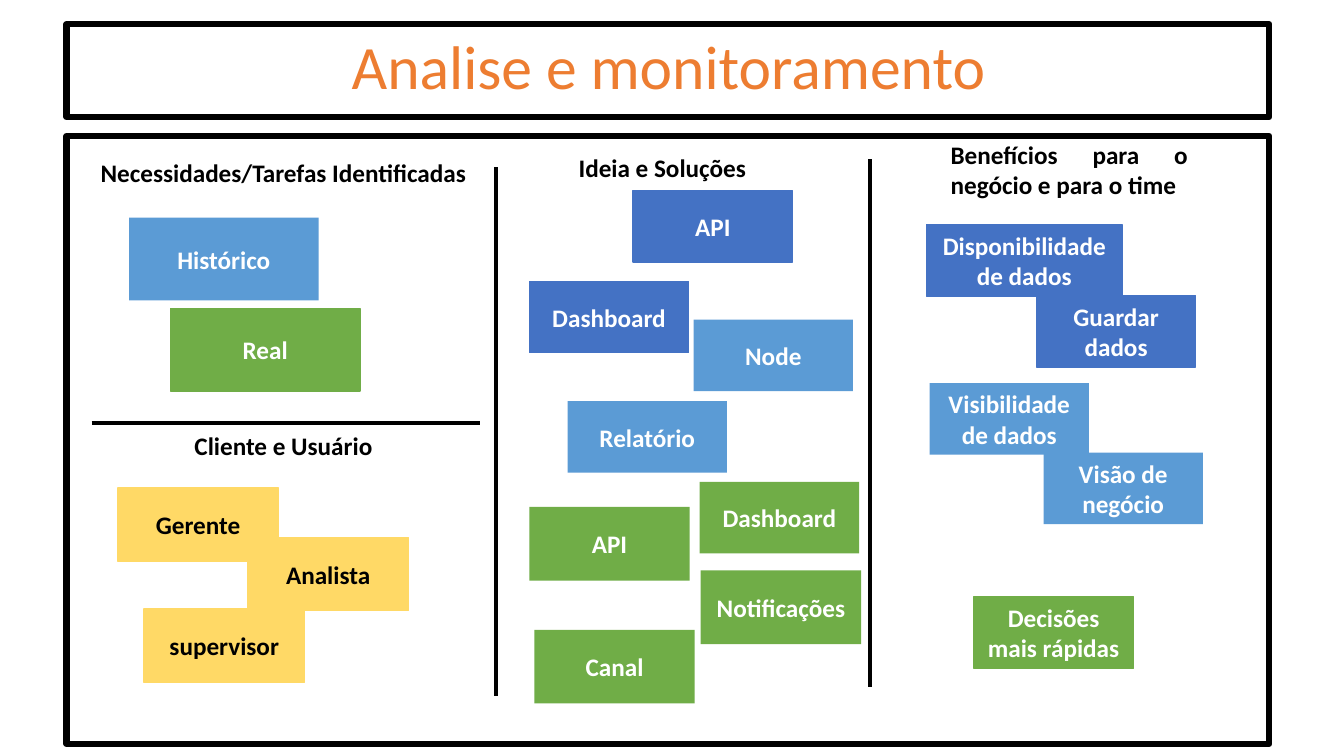
from pptx import Presentation
from pptx.dml.color import RGBColor
from pptx.enum.shapes import MSO_CONNECTOR, MSO_SHAPE
from pptx.enum.text import MSO_ANCHOR, MSO_AUTO_SIZE, PP_ALIGN
from pptx.oxml.ns import qn
from pptx.util import Inches, Pt
from lxml import etree

RECTANGLE = MSO_SHAPE.RECTANGLE
STRAIGHT = MSO_CONNECTOR.STRAIGHT
MIDDLE = MSO_ANCHOR.MIDDLE
FIT_SHAPE = MSO_AUTO_SIZE.SHAPE_TO_FIT_TEXT
LEFT, CENTER, JUSTIFY = PP_ALIGN.LEFT, PP_ALIGN.CENTER, PP_ALIGN.JUSTIFY

BLACK = RGBColor(0x00, 0x00, 0x00)
WHITE = RGBColor(0xFF, 0xFF, 0xFF)
ORANGE = RGBColor(0xED, 0x7D, 0x31)
YELLOW = RGBColor(0xFF, 0xD9, 0x66)
GREEN = RGBColor(0x70, 0xAD, 0x47)
SKY = RGBColor(0x5B, 0x9B, 0xD5)
BLUE = RGBColor(0x44, 0x72, 0xC4)

LABEL = {"name": "Calibri", "size": Pt(18), "bold": True}
TITLE = {"name": "Calibri", "size": Pt(44), "bold": False}

# Note sizes in grid cells
WIDE = (18.8, 8.2)
LARGE = (15.9, 7.3)
SMALL = (15.8, 7.1)
BROAD = (19.4, 7.1)


class Board:
    """Draws on one slide; lengths are columns and rows of a grid."""

    COLUMNS, ROWS = 133.3, 75

    def __init__(self, deck):
        self.page = deck.slides.add_slide(deck.slide_layouts[6])
        self.column = deck.slide_width / self.COLUMNS
        self.row = deck.slide_height / self.ROWS

    def place(self, *cells):
        steps = (self.column, self.row) * 2
        return [round(cell * step) for cell, step in zip(cells, steps)]

    def letter(self, shape, words, style, color, align):
        para = shape.text_frame.paragraphs[0]
        para.alignment = align
        span = para.add_run()
        span.text = words
        for key, value in style.items():
            setattr(span.font, key, value)
        span.font.color.rgb = color

    def box(self, cells, fill=None, line=None, weight=1):
        shape = self.page.shapes.add_shape(RECTANGLE, *self.place(*cells))
        shape.shadow.inherit = False
        for part, color in ((shape.fill, fill), (shape.line.fill, line)):
            if color is None:
                part.background()
            else:
                part.solid()
                part.fore_color.rgb = color
        if line is not None:
            shape.line.width = Pt(weight)
        return shape

    def note(self, words, left, top, size, color, outlined):
        shape = self.box((left, top, *size), color, color if outlined else None)
        shape.text_frame.word_wrap = True
        shape.text_frame.vertical_anchor = MIDDLE
        self.letter(shape, words, LABEL, BLACK if color == YELLOW else WHITE, CENTER)

    def text(self, words, cells, style=LABEL, color=BLACK, align=LEFT, wrap=False):
        shape = self.page.shapes.add_textbox(*self.place(*cells))
        shape.text_frame.word_wrap = wrap
        shape.text_frame.auto_size = FIT_SHAPE
        self.letter(shape, words, style, color, align)

    def divider(self, *ends):
        line = self.page.shapes.add_connector(STRAIGHT, *self.place(*ends))
        line.line.color.rgb = BLACK
        line.line.width = Pt(3)
        etree.SubElement(line._element.spPr, qn("a:effectLst"))


def main():
    deck = Presentation()
    deck.slide_width, deck.slide_height = Inches(13.33), Inches(7.5)
    board = Board(deck)

    # Title and frames
    board.text("Analise e monitoramento", (33.9, 2.3, 65.6, 8.4), TITLE, ORANGE)
    for top, height in ((2.4, 9.2), (13.5, 60.3)):
        board.box((6.6, top, 119.3, height), line=BLACK, weight=4.5)

    # Dividers
    board.divider(9.1, 42, 47.6, 42)
    for column, top in ((49.2, 16.6), (86.3, 15.8)):
        board.divider(column, top, column, top + 52.4)

    # Section headings
    board.text("Necessidades/Tarefas Identificadas", (9, 15.1, 38.6, 4))
    board.text("Cliente e Usuário", (18.3, 42.2, 19.8, 4))
    board.text("Ideia e Soluções", (56.4, 14.6, 18.7, 4))
    board.text("Benefícios para o negócio e para o time", (93.3, 13.3, 25.5, 7.1),
               align=JUSTIFY, wrap=True)

    # Sticky notes: words, left, top, size, color, outlined
    notes = (
        # Needs
        ("Histórico", 12.8, 21.6, WIDE, SKY, False),
        ("Real", 16.9, 30.6, WIDE, GREEN, True),
        # Clients and users
        ("Gerente", 11.7, 48.4, LARGE, YELLOW, True),
        ("Analista", 24.6, 53.3, LARGE, YELLOW, True),
        ("supervisor", 14.3, 60.4, LARGE, YELLOW, True),
        # Ideas and solutions
        ("API", 62.8, 18.9, SMALL, BLUE, True),
        ("Dashboard", 52.5, 27.9, SMALL, BLUE, True),
        ("Node", 68.8, 31.7, SMALL, SKY, False),
        ("Relatório", 56.3, 39.8, SMALL, SKY, False),
        ("Dashboard", 69.4, 47.8, SMALL, GREEN, False),
        ("API", 52.5, 50.3, LARGE, GREEN, False),
        ("Notificações", 69.5, 56.6, LARGE, GREEN, False),
        ("Canal", 53, 62.5, LARGE, GREEN, False),
        # Benefits
        ("Disponibilidade de dados", 91.9, 22.3, BROAD, BLUE, True),
        ("Guardar dados", 102.8, 29.3, SMALL, BLUE, True),
        ("Visibilidade de dados", 92.2, 38, SMALL, SKY, False),
        ("Visão de negócio", 103.5, 44.9, SMALL, SKY, False),
        ("Decisões mais rápidas", 96.6, 59.2, SMALL, GREEN, True),
    )
    for note in notes:
        board.note(*note)

    deck.save("out.pptx")


if __name__ == "__main__":
    main()
